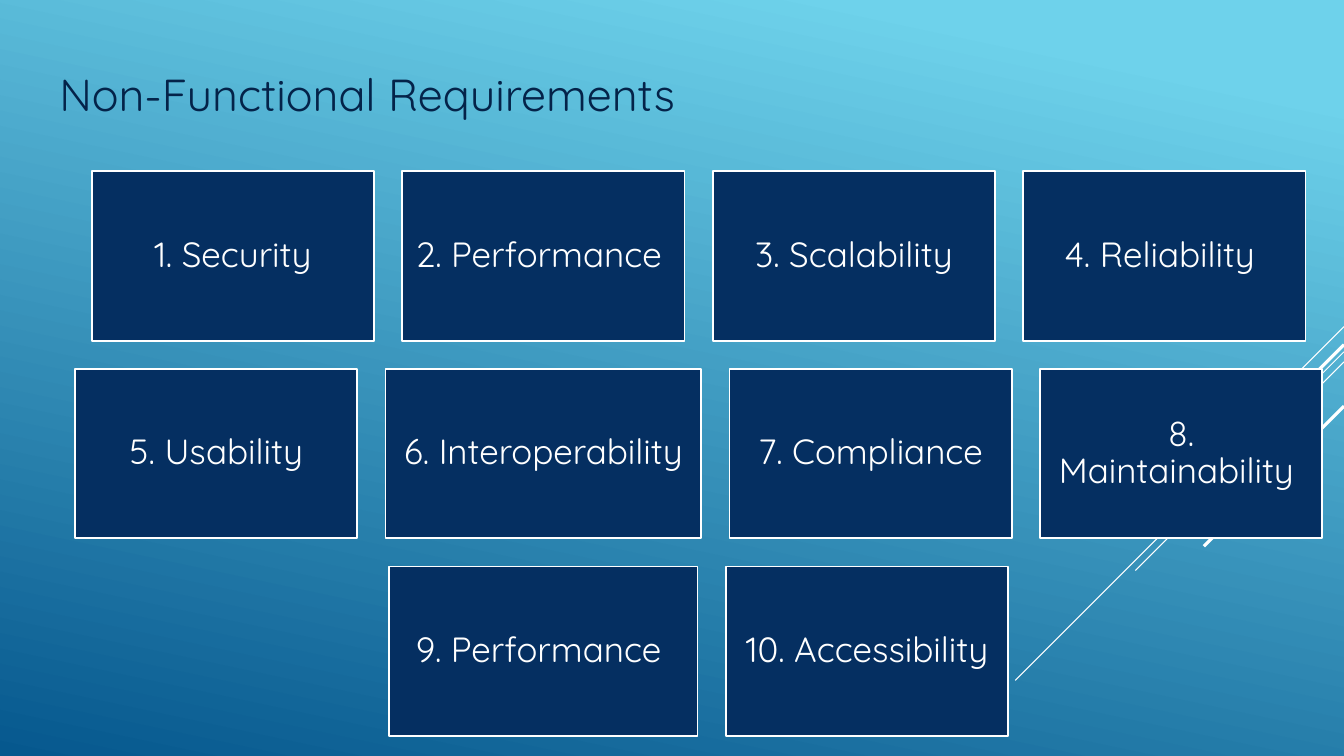
from lxml.etree import SubElement
from pptx import Presentation
from pptx.dml.color import RGBColor
from pptx.enum.shapes import MSO_CONNECTOR as Connector, MSO_SHAPE as Shape
from pptx.enum.text import MSO_ANCHOR as Anchor, MSO_AUTO_SIZE as AutoSize, PP_ALIGN as Align
from pptx.oxml.ns import qn
from pptx.util import Inches, Pt

COLORS = {"sky": "6ED2EB", "ocean": "06588E", "box": "052F61", "title": "042349", "white": "FFFFFF"}
FONT = "Quicksand"
WIDTH, HEIGHT = 13.33, 7.5


def color(name):
    return RGBColor.from_string(COLORS[name])


def style_text(paragraph, size, color_name):
    for run in paragraph.runs:
        run.font.name = FONT
        run.font.size = Pt(size)
        run.font.color.rgb = color(color_name)


presentation = Presentation()
presentation.slide_width = Inches(WIDTH)
presentation.slide_height = Inches(HEIGHT)
slide = presentation.slides.add_slide(presentation.slide_layouts[6])

# Background gradient, light at the top right
fill = slide.background.fill
fill.gradient()
fill.gradient_angle = 360 - 102
for stop, (position, name) in zip(fill.gradient_stops, [(0.1, "sky"), (1, "ocean")]):
    stop.position = position
    stop.color.rgb = color(name)

# Diagonal rays from the right edge: start height, horizontal run, line width
rays = [(3.24, 1, 0.75), (3.49, 3.26, 0.75), (3.59, 2.07, 0.75), (3.42, 1.91, 2.25), (4.03, 1.39, 2.25)]
for top, run_length, weight in rays:
    ray = slide.shapes.add_connector(
        Connector.STRAIGHT, Inches(WIDTH), Inches(top), Inches(WIDTH - run_length), Inches(top + run_length))
    ray.line.color.rgb = color("white")
    ray.line.width = Pt(weight)
    SubElement(ray._element.spPr, qn("a:effectLst"))

# Title
title = slide.shapes.add_textbox(Inches(0.49), Inches(0.61), Inches(12.63), Inches(0.64))
title.text_frame.word_wrap = True
title.text_frame.auto_size = AutoSize.SHAPE_TO_FIT_TEXT
title.text_frame.text = "Non-Functional Requirements"
style_text(title.text_frame.paragraphs[0], 32, "title")

# Requirement boxes: each row is centred on the same axis
BOX_WIDTH, BOX_HEIGHT, GAP = 2.8, 1.68, 0.28
GRID_TOP, GRID_CENTER = 1.7, 6.93
wide_boxes = {"6. Interoperability": 3.13, "9. Performance ": 3.06}
rows = [
    ["1. Security", "2. Performance ", "3. Scalability", "4. Reliability "],
    ["5. Usability", "6. Interoperability", "7. Compliance", "8. Maintainability "],
    ["9. Performance ", "10. Accessibility"],
]
for row_index, labels in enumerate(rows):
    widths = [wide_boxes.get(label, BOX_WIDTH) for label in labels]
    left = GRID_CENTER - (sum(widths) + GAP * (len(widths) - 1)) / 2
    top = GRID_TOP + row_index * (BOX_HEIGHT + GAP)
    for label, width in zip(labels, widths):
        box = slide.shapes.add_shape(
            Shape.RECTANGLE, Inches(left), Inches(top), Inches(width), Inches(BOX_HEIGHT))
        box.shadow.inherit = False
        box.fill.solid()
        box.fill.fore_color.rgb = color("box")
        box.line.color.rgb = color("white")
        box.line.width = Pt(1.25)
        frame = box.text_frame
        frame.word_wrap = True
        frame.vertical_anchor = Anchor.MIDDLE
        frame.margin_left = frame.margin_right = frame.margin_top = frame.margin_bottom = Inches(0.1)
        frame.text = label
        paragraph = frame.paragraphs[0]
        paragraph.alignment = Align.CENTER
        paragraph.line_spacing = 0.9
        style_text(paragraph, 25, "white")
        left += width + GAP

presentation.save("out.pptx")
